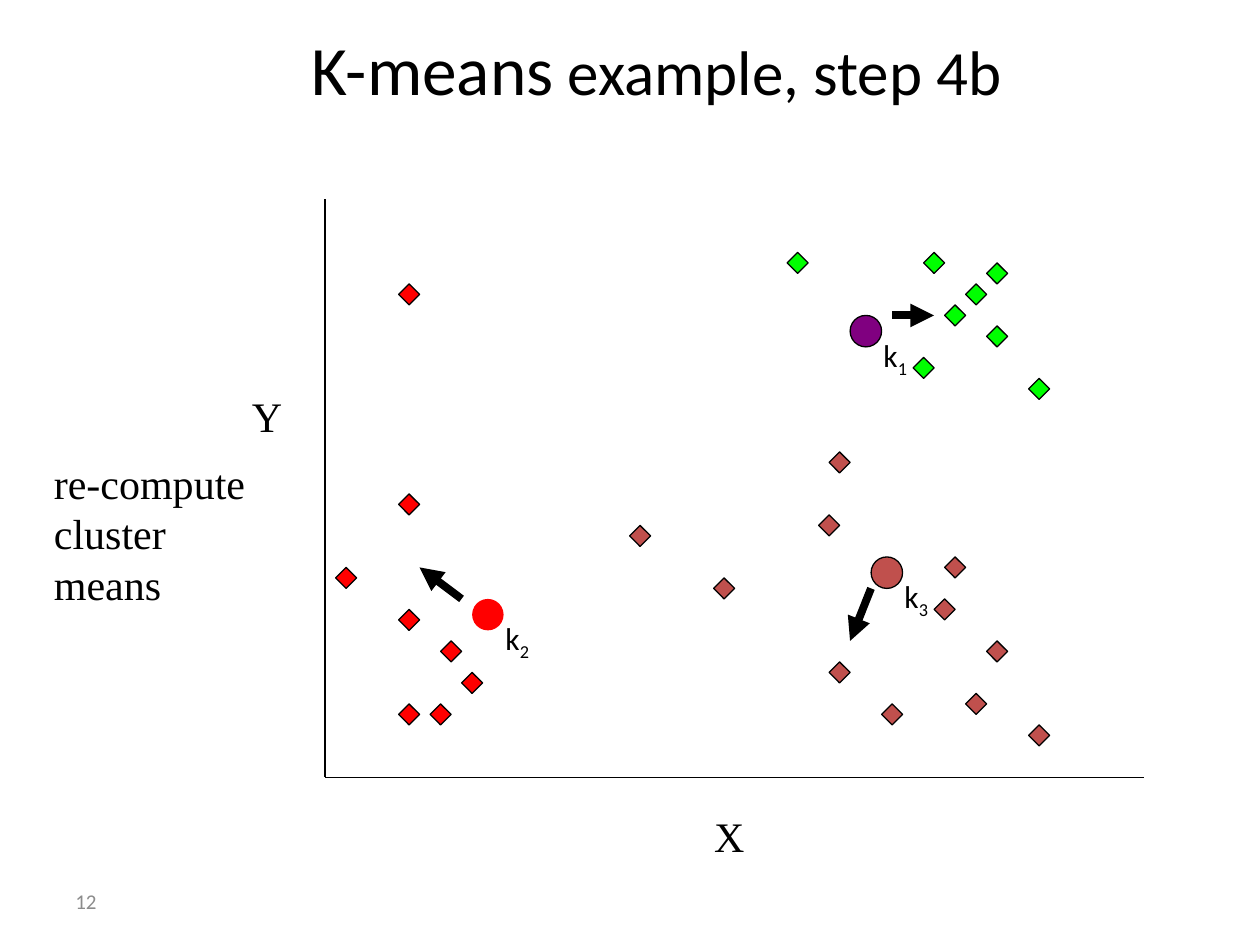
import pptx
import pptx.dml.color
import pptx.enum.shapes
import pptx.enum.text
import pptx.oxml
import pptx.oxml.ns
import pptx.util
from pptx.util import Inches

BLACK = pptx.dml.color.RGBColor(0x00, 0x00, 0x00)
GRAY = pptx.dml.color.RGBColor(0x8C, 0x8C, 0x8C)
RED = pptx.dml.color.RGBColor(0xFF, 0x00, 0x00)
GREEN = pptx.dml.color.RGBColor(0x00, 0xFF, 0x00)
BROWN = pptx.dml.color.RGBColor(0xC0, 0x50, 0x4D)
PURPLE = pptx.dml.color.RGBColor(0x80, 0x00, 0x80)

SERIF = "Times New Roman"
SANS = "Calibri"
UNIT = Inches(1) / 12
DIAMOND = pptx.enum.shapes.MSO_SHAPE.DIAMOND
OVAL = pptx.enum.shapes.MSO_SHAPE.OVAL
TOP = pptx.enum.text.MSO_ANCHOR.TOP
MIDDLE = pptx.enum.text.MSO_ANCHOR.MIDDLE

CLUSTERS = {
    RED: [(12, 12), (14, 9), (11, 6), (8, 15), (8, 46), (8, 26), (8, 6), (2, 19)],
    GREEN: [(58, 49), (64, 48), (62, 46), (60, 44), (64, 42), (68, 37), (45, 49), (57, 39)],
    BROWN: [(30, 23), (49, 30), (49, 10), (54, 6), (59, 16), (48, 24), (38, 18),
            (64, 12), (62, 7), (60, 20), (68, 4)],
}
MEANS = [
    ("1", (51.5, 42.5), PURPLE, BLACK, (54, 44), (58, 44)),
    ("2", (15.5, 15.5), RED, None, (13, 17), (9, 20)),
    ("3", (53.5, 19.5), BROWN, BLACK, (52, 18), (50, 13)),
]


def add_run(paragraph, text, size, font=SANS, color=BLACK, baseline=None):
    """Append a formatted run to a paragraph."""
    run = paragraph.add_run()
    run.text = text
    run.font.size = pptx.util.Pt(size)
    run.font.name = font
    run.font.color.rgb = color
    if baseline is not None:
        run.font._element.set("baseline", str(baseline))


def add_text(slide, box, text, size=24, font=SERIF, color=BLACK, anchor=TOP,
             wrap=True, subscript=None):
    """Add a text box, with an optional subscript after its text."""
    frame = slide.shapes.add_textbox(*box).text_frame
    frame.word_wrap = wrap
    frame.vertical_anchor = anchor
    add_run(frame.paragraphs[0], text, size, font, color)
    if subscript:
        add_run(frame.paragraphs[0], subscript, size, font, color, baseline=-25000)


def add_marker(slide, kind, center, size, fill, outline=BLACK):
    """Add a filled marker around a center point."""
    x, y = center
    shape = slide.shapes.add_shape(
        kind, round(x - size / 2), round(y - size / 2), round(size), round(size))
    shape.shadow.inherit = False
    shape.fill.solid()
    shape.fill.fore_color.rgb = fill
    if outline is None:
        shape.line.fill.background()
    else:
        shape.line.color.rgb = outline
        shape.line.width = pptx.util.Pt(0.75)


def add_line(slide, start, end, width=0.75, arrow=False):
    """Add a black straight line, with an arrowhead at its end if asked."""
    line = slide.shapes.add_connector(
        pptx.enum.shapes.MSO_CONNECTOR.STRAIGHT, *map(round, start + end))
    line.line.color.rgb = BLACK
    line.line.width = pptx.util.Pt(width)
    properties = line._element.spPr
    if arrow:
        head = pptx.oxml.parse_xml(
            f'<a:tailEnd {pptx.oxml.ns.nsdecls("a")} type="triangle"/>')
        line.line._get_or_add_ln().append(head)
    properties.append(pptx.oxml.parse_xml(
        f'<a:effectLst {pptx.oxml.ns.nsdecls("a")}/>'))


def add_title(slide, left, top, width, height):
    """Place and format the slide title."""
    title = slide.shapes.title
    title.left, title.top, title.width, title.height = left, top, width, height
    frame = title.text_frame
    frame.auto_size = pptx.enum.text.MSO_AUTO_SIZE.NONE
    frame.vertical_anchor = MIDDLE
    paragraph = frame.paragraphs[0]
    paragraph.alignment = pptx.enum.text.PP_ALIGN.CENTER
    add_run(paragraph, "K-means", 39.6)
    add_run(paragraph, " example, step 4b", 36)


def add_scatter(slide, left, top, width, height):
    """Draw the axes, clustered points and moving means in a box."""
    bottom = top + height

    def locate(point):
        """Turn plot units into a slide position."""
        return left + point[0] * UNIT, bottom - point[1] * UNIT

    for color, points in CLUSTERS.items():
        for point in points:
            add_marker(slide, DIAMOND, locate(point), 2 * UNIT, color)

    add_line(slide, (left, top), (left, bottom))
    add_line(slide, (left, bottom), (left + width, bottom))
    label_size = (Inches(0.44), Inches(0.5))
    add_text(slide, (left + round(width * 0.46), bottom + Inches(0.21), *label_size),
             "X", wrap=False)
    add_text(slide, (left - Inches(0.68), top + round(height * 0.32), *label_size),
             "Y", wrap=False)

    for number, center, fill, outline, start, end in MEANS:
        add_line(slide, locate(start), locate(end), width=4.5, arrow=True)
        x, y = locate(center)
        add_marker(slide, OVAL, (x, y), 3 * UNIT, fill, outline)
        label_box = (round(x + UNIT / 2), round(y - UNIT / 2), Inches(0.58), Inches(0.5))
        add_text(slide, label_box, "k", size=18, font=SANS, anchor=MIDDLE,
                 subscript=number)


def main():
    """Build the slide and save it."""
    presentation = pptx.Presentation()
    presentation.slide_width = Inches(10)
    presentation.slide_height = Inches(7.5)
    slide = presentation.slides.add_slide(presentation.slide_layouts[5])
    add_title(slide, Inches(0.75), Inches(0.25), Inches(8.92), Inches(0.58))
    add_scatter(slide, Inches(2.58), Inches(1.58), Inches(6.5), Inches(4.59))
    add_text(slide, (Inches(0.33), Inches(3.58), Inches(2), Inches(1.3)),
             "re-compute cluster means")
    add_text(slide, (Inches(0.5), Inches(6.95), Inches(2.33), Inches(0.4)),
             "12", size=12, font=SANS, color=GRAY, anchor=MIDDLE)
    presentation.save("out.pptx")


if __name__ == "__main__":
    main()
